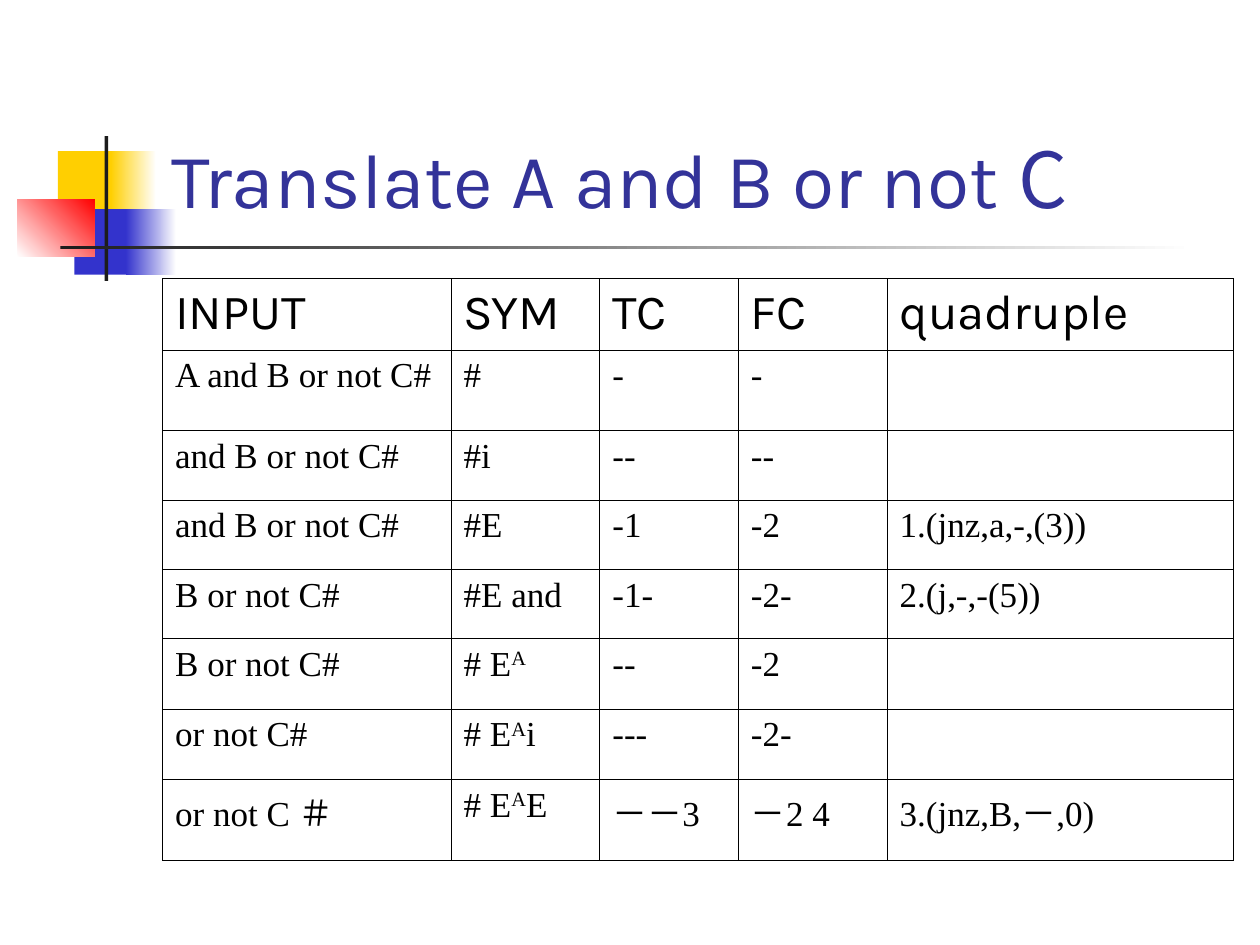
"""Build a slide that traces the translation of a boolean expression."""
import pptx
import pptx.dml.color
import pptx.enum.shapes
import pptx.enum.text
import pptx.oxml
import pptx.oxml.ns
import pptx.util

Inches = pptx.util.Inches
RGBColor = pptx.dml.color.RGBColor

YELLOW = RGBColor(0xFF, 0xCF, 0x01)
BLUE = RGBColor(0x33, 0x33, 0xCC)
RED = RGBColor(0xFF, 0x00, 0x00)
CHARCOAL = RGBColor(0x1C, 0x1C, 0x1C)
WHITE = RGBColor(0xFF, 0xFF, 0xFF)
INDIGO = RGBColor(0x33, 0x33, 0x99)
BLACK = RGBColor(0x00, 0x00, 0x00)

HEADING_FONT = "Karla"
BODY_FONT = "Times New Roman"
WIDE_FONT = "Noto Sans CJK SC"

ORNAMENTS = [
    ((0.46, 1.2, 0.48, 0.52), [YELLOW], 0),
    ((0.88, 1.2, 0.36, 0.52), [YELLOW, WHITE], 0),
    ((0.59, 1.66, 0.46, 0.52), [BLUE], 0),
    ((1, 1.66, 0.4, 0.52), [BLUE, WHITE], 0),
    ((0.14, 1.58, 0.61, 0.46), [WHITE, RED], 45),
    ((0.83, 1.08, 0.03, 1.15), [CHARCOAL], 0),
    ((0.48, 1.95, 9, 0.03), [CHARCOAL, WHITE], 0),
]

TITLE = [("Translate A and B or not ", HEADING_FONT), ("C", WIDE_FONT)]

HEADERS = ["INPUT", "SYM", "TC", "FC", "quadruple"]
STEPS = [
    ["A and B or not C#", "#", "-", "-", ""],
    ["and B or not C#", "#i", "--", "--", ""],
    ["and B or not C#", "#E", "-1", "-2", "1.(jnz,a,-,(3))"],
    ["B or not C#", "#E and", "-1-", "-2-", "2.(j,-,-(5))"],
    ["B or not C#", "# E^A^", "--", "-2", ""],
    ["or not C#", "# E^A^i", "---", "-2-", ""],
    ["or not C ＃", "# E^A^E", "－－3", "－2 4", "3.(jnz,B,－,0)"],
]
COLUMN_WIDTHS = [2.29, 1.18, 1.1, 1.18, 2.75]
ROW_HEIGHTS = [0.57, 0.64, 0.55, 0.55, 0.55, 0.56, 0.56, 0.64]
BORDER_POINTS = 0.45


def write(paragraph, text, font=BODY_FONT, size=20, color=BLACK):
    """Append text to a paragraph, raising the parts set between carets."""
    for index, part in enumerate(text.split("^")):
        if not part:
            continue
        run = paragraph.add_run()
        run.text = part
        run.font.name = font
        run.font.size = pptx.util.Pt(size)
        run.font.color.rgb = color
        properties = run.font._element
        wide = pptx.oxml.parse_xml(
            f'<a:ea {pptx.oxml.ns.nsdecls("a")} typeface="{WIDE_FONT}"/>')
        properties.find(pptx.oxml.ns.qn("a:latin")).addnext(wide)
        if index % 2:
            properties.set("baseline", "30000")


def draw_ornament(slide, box, colors, angle):
    """Draw a borderless block with a plain or gradient fill."""
    block = slide.shapes.add_shape(
        pptx.enum.shapes.MSO_SHAPE.RECTANGLE, *map(Inches, box))
    block.shadow.inherit = False
    block.line.fill.background()
    if len(colors) == 1:
        block.fill.solid()
        block.fill.fore_color.rgb = colors[0]
        return
    block.fill.gradient()
    block.fill.gradient_angle = angle
    for stop, position, color in zip(block.fill.gradient_stops, (0, 1), colors):
        stop.position = position
        stop.color.rgb = color


def outline(cell):
    """Give a clear cell a thin border on all four sides."""
    cell.fill.background()
    width = int(pptx.util.Pt(BORDER_POINTS))
    for index, side in enumerate("LRTB"):
        cell._tc.get_or_add_tcPr().insert(index, pptx.oxml.parse_xml(
            f'<a:ln{side} {pptx.oxml.ns.nsdecls("a")} w="{width}"><a:solidFill>'
            f'<a:srgbClr val="{BLACK}"/></a:solidFill></a:ln{side}>'))


def add_title(slide):
    """Place the title above the rule."""
    frame = slide.shapes.add_textbox(
        *map(Inches, (1.26, 0.23, 8.52, 1.6))).text_frame
    frame.word_wrap = True
    frame.vertical_anchor = pptx.enum.text.MSO_ANCHOR.BOTTOM
    for text, font in TITLE:
        write(frame.paragraphs[0], text, font=font, size=44, color=INDIGO)


def add_steps(slide):
    """Place the table of translation steps."""
    rows = [HEADERS] + STEPS
    steps = slide.shapes.add_table(
        len(rows), len(HEADERS), Inches(1.29), Inches(2.21),
        Inches(sum(COLUMN_WIDTHS)), Inches(sum(ROW_HEIGHTS))).table
    steps.horz_banding = False
    steps.first_row = False
    for column, width in zip(steps.columns, COLUMN_WIDTHS):
        column.width = Inches(width)
    for row, height, texts in zip(steps.rows, ROW_HEIGHTS, rows):
        row.height = Inches(height)
        look = {"font": HEADING_FONT, "size": 28} if texts is HEADERS else {}
        for cell, text in zip(row.cells, texts):
            outline(cell)
            write(cell.text_frame.paragraphs[0], text, **look)


def main():
    """Assemble and save the slide."""
    deck = pptx.Presentation()
    deck.slide_width, deck.slide_height = Inches(10), Inches(7.5)
    slide = deck.slides.add_slide(deck.slide_layouts[6])
    for box, colors, angle in ORNAMENTS:
        draw_ornament(slide, box, colors, angle)
    add_title(slide)
    add_steps(slide)
    deck.save("out.pptx")


if __name__ == "__main__":
    main()
